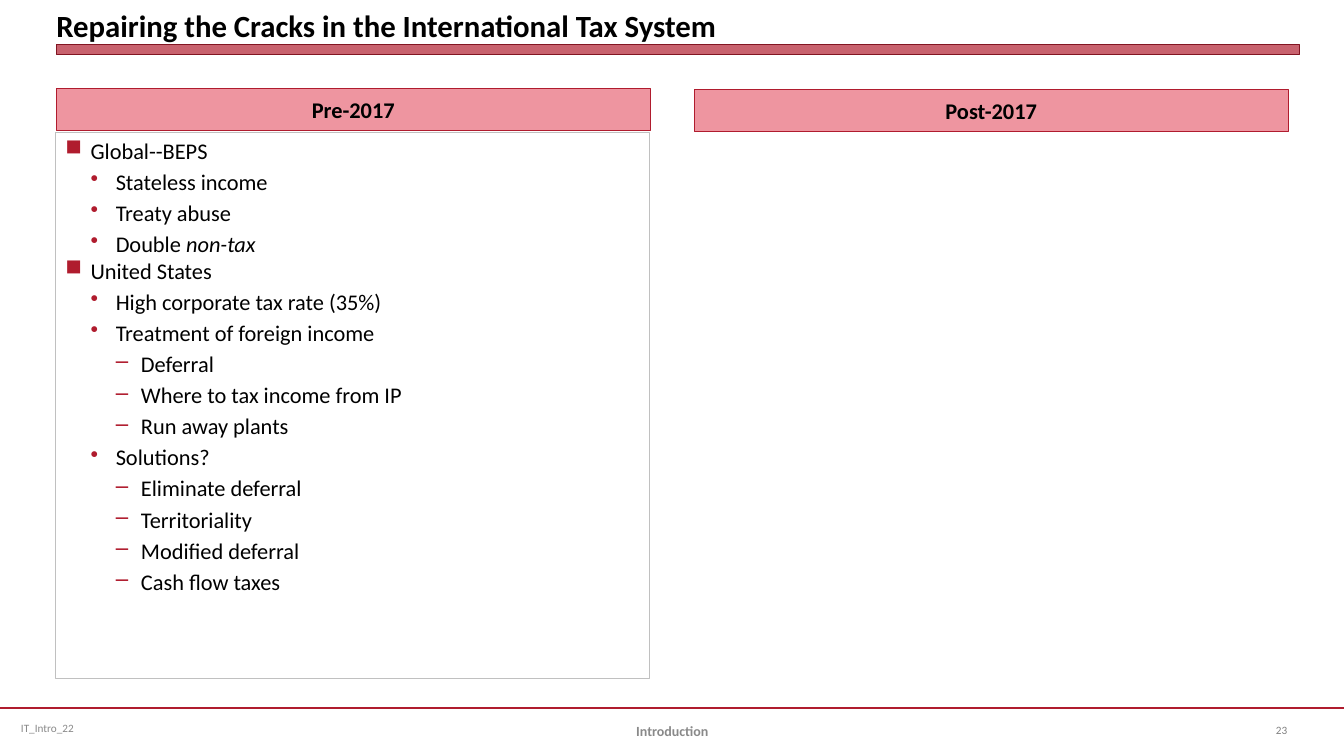
from lxml.etree import SubElement
from pptx import Presentation
from pptx.dml.color import RGBColor
from pptx.enum.shapes import MSO_CONNECTOR as Connector, MSO_SHAPE as Shape
from pptx.enum.text import MSO_ANCHOR as Anchor, PP_ALIGN as Align
from pptx.oxml.ns import qn
from pptx.util import Pt

CRIMSON = RGBColor(0xB0, 0x1C, 0x2E)
DARK_RED = RGBColor(0x82, 0x15, 0x22)
PINK = RGBColor(0xEE, 0x95, 0xA0)
SILVER = RGBColor(0xC0, 0xC0, 0xC0)
GREY = RGBColor(0x89, 0x89, 0x89)
NUMBER_GREY = RGBColor(0x80, 0x80, 0x80)
BLACK = RGBColor(0, 0, 0)
WHITE = RGBColor(0xFF, 0xFF, 0xFF)

BULLETS = "■•–"
INDENT = 18
LEFT = 40.3
COLUMN_WIDTH = 424.1

# Level, text and an optional italic ending
PRE_2017 = [
    (0, "Global--BEPS"),
    (1, "Stateless income"),
    (1, "Treaty abuse"),
    (1, "Double ", "non-tax"),
    (0, "United States"),
    (1, "High corporate tax rate (35%)"),
    (1, "Treatment of foreign income"),
    (2, "Deferral"),
    (2, "Where to tax income from IP"),
    (2, "Run away plants"),
    (1, "Solutions?"),
    (2, "Eliminate deferral"),
    (2, "Territoriality"),
    (2, "Modified deferral"),
    (2, "Cash flow taxes"),
]


def write(para, text, size=16, color=BLACK, bold=False, italic=False,
          align=Align.LEFT, font="Calibri"):
    para.alignment = align
    span = para.add_run()
    span.text = text
    span.font.name = font
    span.font.size = Pt(size)
    span.font.bold = bold
    span.font.italic = italic
    span.font.color.rgb = color


def add_bullet(para, level):
    para.level = level
    properties = para._p.get_or_add_pPr()
    properties.set("marL", str(Pt(INDENT * (level + 1))))
    properties.set("indent", str(-Pt(INDENT)))
    bullet_color = SubElement(properties, qn("a:buClr"))
    SubElement(bullet_color, qn("a:srgbClr")).set("val", str(CRIMSON))
    SubElement(properties, qn("a:buChar")).set("char", BULLETS[level])


class SlideBuilder:
    def __init__(self, page):
        self.shapes = page.shapes

    def rule(self, y, width, color, weight):
        line = self.shapes.add_connector(
            Connector.STRAIGHT, Pt(0), Pt(y), Pt(width), Pt(y))
        line.line.color.rgb = color
        line.line.width = Pt(weight)
        SubElement(line._element.spPr, qn("a:effectLst"))

    def panel(self, left, top, width, height, fill, border,
              weight=0.75, opacity=100):
        box = self.shapes.add_shape(
            Shape.RECTANGLE, Pt(left), Pt(top), Pt(width), Pt(height))
        box.shadow.inherit = False
        box.fill.solid()
        box.fill.fore_color.rgb = fill
        if opacity < 100:
            color = box._element.spPr.find(qn("a:solidFill"))[0]
            SubElement(color, qn("a:alpha")).set("val", str(opacity * 1000))
        box.line.color.rgb = border
        box.line.width = Pt(weight)
        return box

    def header(self, left, top, text):
        box = self.panel(left, top, COLUMN_WIDTH, 30.2, PINK, CRIMSON)
        box.text_frame.vertical_anchor = Anchor.MIDDLE
        write(box.text_frame.paragraphs[0], text, bold=True,
              align=Align.CENTER)

    def outline(self, left, top, height, items):
        box = self.panel(left, top, COLUMN_WIDTH, height, WHITE, SILVER)
        frame = box.text_frame
        frame.vertical_anchor = Anchor.TOP
        for number, (level, text, *ending) in enumerate(items):
            para = frame.add_paragraph() if number else frame.paragraphs[0]
            add_bullet(para, level)
            para.space_before = Pt(3 if level else 0)
            write(para, text)
            for words in ending:
                write(para, words, italic=True)

    def label(self, left, top, width, height, text, anchor=Anchor.MIDDLE,
              inset=True, **style):
        box = self.shapes.add_textbox(Pt(left), Pt(top), Pt(width), Pt(height))
        frame = box.text_frame
        frame.word_wrap = True
        frame.vertical_anchor = anchor
        if not inset:
            frame.margin_left = frame.margin_right = Pt(0)
            frame.margin_top = frame.margin_bottom = Pt(0)
        write(frame.paragraphs[0], text, **style)


def main():
    deck = Presentation()
    deck.slide_width, deck.slide_height = Pt(960), Pt(540)
    builder = SlideBuilder(deck.slides.add_slide(deck.slide_layouts[6]))

    builder.rule(505.6, 960, CRIMSON, 1.25)
    builder.label(7.9, 505.6, 247.7, 28.8, "IT_Intro_22", size=8, color=GREY)
    builder.panel(LEFT, 32.1, 888, 7, CRIMSON, DARK_RED, weight=0, opacity=69)

    builder.header(LEFT, 63.3, "Pre-2017")
    builder.header(496, 64, "Post-2017")
    builder.outline(39.6, 94.3, 390.2, PRE_2017)

    builder.label(904.3, 507, 48.2, 28.8, "23", size=8, color=NUMBER_GREY)
    builder.label(328.3, 507.6, 303.8, 28.8, "Introduction", size=10,
                  color=GREY, bold=True, align=Align.CENTER)
    builder.label(LEFT, 0, 888, 31, inset=False, anchor=Anchor.BOTTOM,
                  text="Repairing the Cracks in the International Tax System",
                  size=22, bold=True)
    deck.save("out.pptx")


if __name__ == "__main__":
    main()
